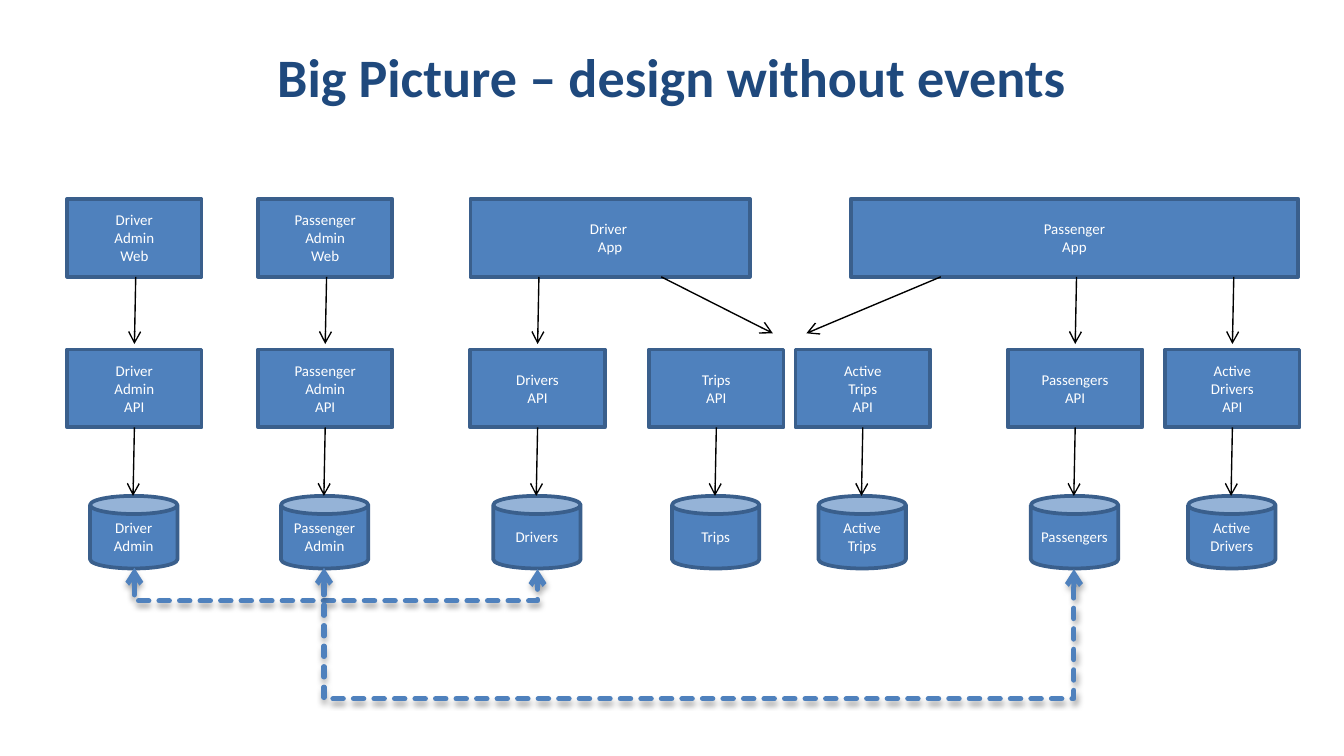
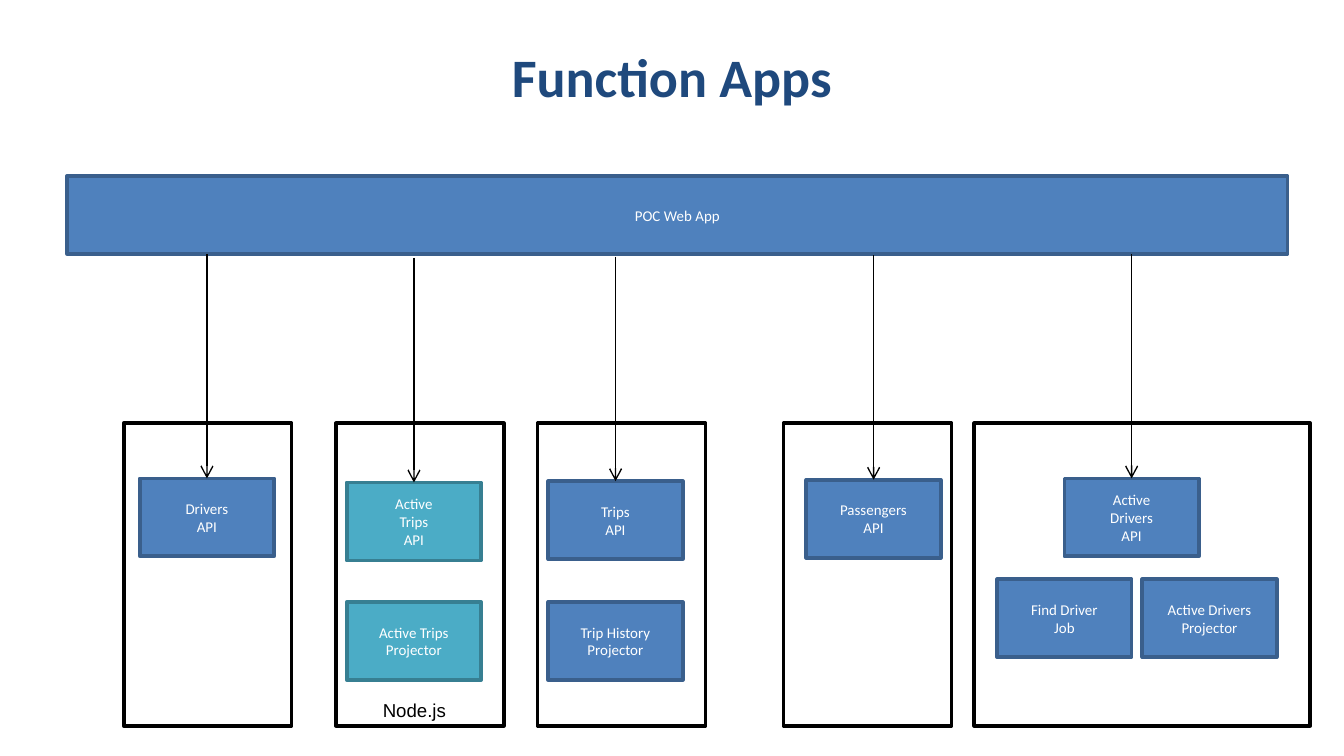
from dataclasses import dataclass

from lxml.etree import SubElement
from pptx import Presentation
from pptx.dml.color import RGBColor
from pptx.enum.dml import MSO_LINE
from pptx.enum.shapes import MSO_CONNECTOR, MSO_SHAPE
from pptx.enum.text import MSO_ANCHOR, MSO_AUTO_SIZE, PP_ALIGN
from pptx.oxml.ns import qn
from pptx.shapes.autoshape import Shape
from pptx.shapes.connector import Connector
from pptx.slide import Slide
from pptx.util import Inches, Pt

# Shared colours, fonts and sizes
NAVY = RGBColor(0x1F, 0x49, 0x7D)
BLUE = RGBColor(0x4F, 0x81, 0xBD)
BLUE_EDGE = RGBColor(0x3A, 0x5F, 0x8C)
TEAL = RGBColor(0x4B, 0xAC, 0xC6)
TEAL_EDGE = RGBColor(0x37, 0x7F, 0x92)
WHITE = RGBColor(0xFF, 0xFF, 0xFF)
BLACK = RGBColor(0x00, 0x00, 0x00)
FONT = "Calibri"
LABEL_FONT = "Arial"
TITLE_ONLY = 5

BOX_WIDTH, BOX_HEIGHT = 1.0, 0.58
CAN_WIDTH, CAN_HEIGHT = 0.65, 0.54
TILT = 0.01  # arrows lean very slightly to the left

# Rows of the first slide
APP_TOP, API_TOP, STORE_TOP = 1.48, 2.6, 3.69
# Rows of the second slide
WEB_TOP, GROUP_TOP, GROUP_HEIGHT = 1.31, 3.15, 2.25
CALL_LENGTH = 1.67


@dataclass(frozen=True)
class Box:
    text: str
    left: float
    top: float
    width: float = BOX_WIDTH
    fill: RGBColor = BLUE
    edge: RGBColor = BLUE_EDGE

    @property
    def centre(self) -> float:
        return self.left + self.width / 2


@dataclass(frozen=True)
class Service:
    name: str
    left: float
    called_from_above: bool = True


@dataclass(frozen=True)
class Sync:
    start: float
    end: float
    drop: float


APPS = [
    Box("Driver\nAdmin\nWeb", 0.5, APP_TOP),
    Box("Passenger\nAdmin\nWeb", 1.92, APP_TOP),
    Box("Driver \nApp", 3.5, APP_TOP, 2.08),
    Box("Passenger\nApp", 6.33, APP_TOP, 3.33),
]
SERVICES = [
    Service("Driver\nAdmin", 0.5),
    Service("Passenger\nAdmin", 1.92),
    Service("Drivers", 3.5),
    Service("Trips", 4.83, False),
    Service("Active\nTrips", 5.92, False),
    Service("Passengers", 7.5),
    Service("Active\nDrivers", 8.67),
]
SYNCS = [Sync(1, 4, 0.25), Sync(2.41, 7.99, 0.99)]

WEB_APP = Box("POC Web App", 0.5, WEB_TOP, 9.08)
FUNCTION_APIS = [
    Box("Drivers\nAPI", 1.04, 3.56),
    Box("Active\nTrips\nAPI", 2.58, 3.59, fill=TEAL, edge=TEAL_EDGE),
    Box("Trips\nAPI", 4.08, 3.58),
    Box("Passengers\nAPI", 6, 3.57),
    Box("Active\nDrivers\nAPI", 7.92, 3.56),
]
JOBS = [
    Box("Active Trips\nProjector", 2.58, 4.48, fill=TEAL, edge=TEAL_EDGE),
    Box("Trip History\nProjector", 4.08, 4.48),
    Box("Find Driver\nJob", 7.42, 4.31),
    Box("Active Drivers\nProjector", 8.5, 4.31),
]
GROUPS = [(0.92, 1.25), (2.5, 1.25), (4, 1.25), (5.83, 1.25), (7.25, 2.5)]


def add_page(deck: Presentation, title: str) -> Slide:
    page = deck.slides.add_slide(deck.slide_layouts[TITLE_ONLY])
    holder = page.shapes.title
    holder.left, holder.top = Inches(0.5), Inches(0.25)
    holder.width, holder.height = Inches(9), Inches(0.63)
    frame = holder.text_frame
    frame.vertical_anchor = MSO_ANCHOR.MIDDLE
    frame.auto_size = MSO_AUTO_SIZE.NONE
    para = frame.paragraphs[0]
    para.alignment = PP_ALIGN.CENTER
    span = para.add_run()
    span.text = title
    span.font.name, span.font.size, span.font.bold = FONT, Pt(29), True
    span.font.color.rgb = NAVY
    return page


def add_outlined(page: Slide, kind: MSO_SHAPE, left: float, top: float,
                 width: float, height: float, edge: RGBColor) -> Shape:
    shape = page.shapes.add_shape(
        kind, Inches(left), Inches(top), Inches(width), Inches(height))
    shape.shadow.inherit = False
    shape.fill.background()
    shape.line.color.rgb = edge
    shape.line.width = Pt(2)
    return shape


def add_box(page: Slide, box: Box, kind: MSO_SHAPE = MSO_SHAPE.RECTANGLE,
            height: float = BOX_HEIGHT, side_inset: float = 0.09) -> None:
    shape = add_outlined(page, kind, box.left, box.top, box.width, height, box.edge)
    shape.fill.solid()
    shape.fill.fore_color.rgb = box.fill
    frame = shape.text_frame
    frame.word_wrap = True
    frame.vertical_anchor = MSO_ANCHOR.MIDDLE
    frame.margin_left = frame.margin_right = Inches(side_inset)
    frame.margin_top = frame.margin_bottom = Inches(0.04)
    for index, line in enumerate(box.text.split("\n")):
        para = frame.add_paragraph() if index else frame.paragraphs[0]
        para.alignment = PP_ALIGN.CENTER
        span = para.add_run()
        span.text = line
        span.font.name, span.font.size = FONT, Pt(8)
        span.font.color.rgb = WHITE


def add_arrowheads(link: Connector, *ends: str) -> None:
    outline = link.line._get_or_add_ln()
    for end in ends:
        SubElement(outline, qn(f"a:{end}"), type="arrow")


def add_arrow(page: Slide, x1: float, y1: float, x2: float, y2: float) -> None:
    link = page.shapes.add_connector(
        MSO_CONNECTOR.STRAIGHT, Inches(x1), Inches(y1), Inches(x2), Inches(y2))
    link.line.color.rgb = BLACK
    link.line.width = Pt(0.75)
    add_arrowheads(link, "tailEnd")
    SubElement(link._element.spPr, qn("a:effectLst"))


def add_sync(page: Slide, sync: Sync) -> None:
    """Draw a dashed two-way link that dips below the stores."""
    depth, span = 0.01, sync.end - sync.start
    middle_x, middle_y = (sync.start + sync.end) / 2, STORE_TOP + CAN_HEIGHT
    left, top = middle_x - depth / 2, middle_y - span / 2
    link = page.shapes.add_connector(
        MSO_CONNECTOR.ELBOW, Inches(left), Inches(top),
        Inches(left + depth), Inches(top + span))
    properties = link._element.spPr
    # A quarter turn makes the elbow leave and arrive vertically
    frame = properties.find(qn("a:xfrm"))
    frame.set("rot", str(270 * 60000))
    frame.set("flipH", "1")
    guides = properties.find(qn("a:prstGeom")).find(qn("a:avLst"))
    SubElement(guides, qn("a:gd"), name="adj1",
               fmla=f"val {round(sync.drop / depth * 100000)}")
    link.line.color.rgb = BLUE
    link.line.width = Pt(2.75)
    link.line.dash_style = MSO_LINE.SQUARE_DOT
    link.line._get_or_add_ln().set("cap", "rnd")
    add_arrowheads(link, "headEnd", "tailEnd")
    effects = SubElement(properties, qn("a:effectLst"))
    shadow = SubElement(effects, qn("a:outerShdw"), blurRad=str(Pt(3.1)),
                        dist=str(Pt(2)), dir=str(90 * 60000), rotWithShape="0")
    colour = SubElement(shadow, qn("a:srgbClr"), val=str(BLACK))
    SubElement(colour, qn("a:alpha"), val="35000")


def build_design(deck: Presentation) -> None:
    page = add_page(deck, "Big Picture – design without events")
    app_bottom = APP_TOP + BOX_HEIGHT
    for app in APPS:
        add_box(page, app)

    # One column per service: call, API, store
    for service in SERVICES:
        api = Box(f"{service.name}\nAPI", service.left, API_TOP)
        store = Box(service.name, service.left + 0.17, STORE_TOP, CAN_WIDTH)
        add_box(page, api)
        add_box(page, store, MSO_SHAPE.CAN, CAN_HEIGHT, 0.07)
        add_arrow(page, api.centre, API_TOP + BOX_HEIGHT,
                  api.centre - TILT, STORE_TOP)
        if service.called_from_above:
            add_arrow(page, api.centre + TILT, app_bottom, api.centre, 2.56)

    # Both apps call the trip services
    for start, end in [(4.92, 5.75), (7, 6)]:
        add_arrow(page, start, app_bottom, end, 2.48)
    for sync in SYNCS:
        add_sync(page, sync)


def build_function_apps(deck: Presentation) -> None:
    page = add_page(deck, "Function Apps")
    for box in [WEB_APP, *FUNCTION_APIS, *JOBS]:
        add_box(page, box)
    for api in FUNCTION_APIS:
        add_arrow(page, api.centre, api.top - CALL_LENGTH, api.centre, api.top)

    # Function app outlines
    for left, width in GROUPS:
        add_outlined(page, MSO_SHAPE.RECTANGLE, left, GROUP_TOP,
                     width, GROUP_HEIGHT, BLACK)

    # Runtime label
    label = page.shapes.add_textbox(
        Inches(2.75), Inches(5.15), Inches(0.68), Inches(0.27))
    label.text_frame.word_wrap = False
    label.text_frame.auto_size = MSO_AUTO_SIZE.SHAPE_TO_FIT_TEXT
    span = label.text_frame.paragraphs[0].add_run()
    span.text = "Node.js"
    span.font.name, span.font.size = LABEL_FONT, Pt(10)
    span.font.color.rgb = BLACK


def main() -> None:
    deck = Presentation()
    # Widescreen, 16:9
    deck.slide_width = Inches(10)
    deck.slide_height = deck.slide_width * 9 // 16
    build_design(deck)
    build_function_apps(deck)
    deck.save("out.pptx")


if __name__ == "__main__":
    main()
